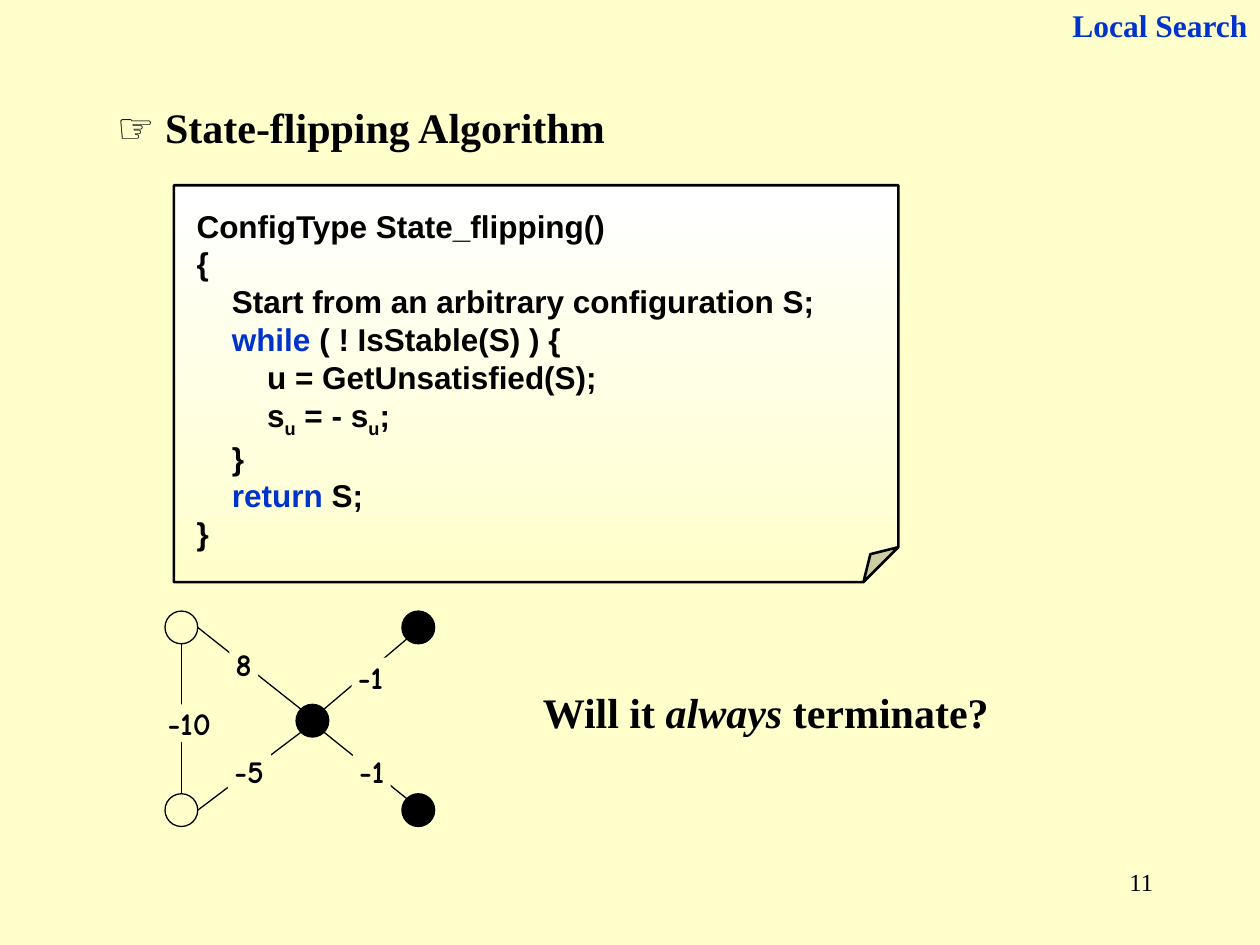
from math import cos, radians, sin

from lxml import etree
from pptx import Presentation
from pptx.dml.color import RGBColor
from pptx.enum import shapes, text
from pptx.oxml import ns
from pptx.util import Inches, Pt

CREAM = RGBColor(0xFF, 0xFF, 0xCC)
WHITE = RGBColor(0xFF, 0xFF, 0xFF)
BLACK = RGBColor(0, 0, 0)
BLUE = RGBColor(0x00, 0x33, 0xCC)
SERIF, SANS, COMIC = "Times New Roman", "Arial", "Comic Neue"
RIGHT = text.PP_ALIGN.RIGHT

# Content: a run is its text and what differs from the paragraph's style
HEADER = [("Local Search", {"color": BLUE})]
TITLE = [("☞", {"font": SANS}), (" State-flipping Algorithm", {})]
QUESTION = [("Will it ", {}), ("always", {"italic": True}), (" terminate?", {})]
NUMBER = [("11", {"bold": False})]

KEYWORD, SUB = {"color": BLUE}, {"baseline": -25000}
CODE = [  # indent level, runs
    (0, [("ConfigType State_flipping()", {})]),
    (0, [("{", {})]),
    (1, [("Start from an arbitrary configuration S;", {})]),
    (1, [("while", KEYWORD), (" ( ! IsStable(S) ) {", {})]),
    (2, [("u = GetUnsatisfied(S);", {})]),
    (2, [("s", {}), ("u", SUB), (" = - s", {}), ("u", SUB), (";", {})]),
    (1, [("}", {})]),
    (1, [("return", KEYWORD), (" S;", {})]),
    (0, [("}", {})]),
]
INDENT = 0.28

RADIUS = 0.13
NODES = {  # centre x, centre y, fill
    "top left": (1.44, 4.98, CREAM),
    "bottom left": (1.44, 6.43, CREAM),
    "middle": (2.48, 5.72, BLACK),
    "top right": (3.32, 4.98, BLACK),
    "bottom right": (3.32, 6.43, BLACK),
}
EDGES = [  # node and angle at each end, weight, label left, top, width
    ("bottom left", 270, "top left", 90, "-10", 1.28, 5.59, 0.44),
    ("middle", 225, "top left", 0, "8", 1.82, 5.12, 0.23),
    ("middle", 135, "bottom left", 0, "-5", 1.81, 5.97, 0.34),
    ("middle", 315, "top right", 135, "-1", 2.79, 5.22, 0.3),
    ("middle", 45, "bottom right", 225, "-1", 2.8, 5.97, 0.3),
]


def add_runs(para, runs, size, font):
    for words, style in runs:
        span = para.add_run()
        span.text = words
        span.font.size = Pt(size)
        span.font.name = style.get("font", font)
        span.font.bold = style.get("bold", True)
        span.font.italic = style.get("italic", False)
        span.font.color.rgb = style.get("color", BLACK)
        if "baseline" in style:
            span.font._element.set("baseline", str(style["baseline"]))


def set_frame(frame, left, top, right, bottom, wrap):
    frame.margin_left, frame.margin_top = Inches(left), Inches(top)
    frame.margin_right, frame.margin_bottom = Inches(right), Inches(bottom)
    frame.word_wrap = wrap
    frame.vertical_anchor = text.MSO_ANCHOR.TOP


def add_text(slide, place, runs, size, align=text.PP_ALIGN.LEFT, before=0):
    box = slide.shapes.add_textbox(*map(Inches, place))
    set_frame(box.text_frame, 0.1, 0.05, 0.1, 0.05, True)
    para = box.text_frame.paragraphs[0]
    para.alignment = align
    para.space_before = Pt(before)
    add_runs(para, runs, size, SERIF)


def add_shape(slide, kind, place, color=None, width=None):
    shape = slide.shapes.add_shape(kind, *map(Inches, place))
    shape.shadow.inherit = False
    if color is not None:
        shape.fill.solid()
        shape.fill.fore_color.rgb = color
    if width:
        shape.line.color.rgb = BLACK
        shape.line.width = Pt(width)
    else:
        shape.line.fill.background()
    return shape


def add_code(slide):
    note = add_shape(slide, shapes.MSO_SHAPE.FOLDED_CORNER,
                     (1.38, 1.47, 5.75, 3.15), width=1.5)
    # Size of the folded corner
    guides = note._element.spPr.find(ns.qn("a:prstGeom")).get_or_add_avLst()
    etree.SubElement(guides, ns.qn("a:gd"), name="adj", fmla="val 8800")
    note.fill.gradient()
    note.fill.gradient_angle = 270
    for stop, color, position in zip(note.fill.gradient_stops, (WHITE, CREAM), (0, 1)):
        stop.color.rgb = color
        stop.position = position
    frame = note.text_frame
    set_frame(frame, 0.18, 0.17, 0.1, 0.05, False)
    for index, (level, runs) in enumerate(CODE):
        para = frame.add_paragraph() if index else frame.paragraphs[0]
        para.alignment = text.PP_ALIGN.LEFT
        para._p.get_or_add_pPr().set("marL", str(Inches(level * INDENT)))
        add_runs(para, runs, 18, SANS)


def rim_point(node, angle):
    x, y, _ = NODES[node]
    return (Inches(x + RADIUS * cos(radians(angle))),
            Inches(y + RADIUS * sin(radians(angle))))


def add_graph(slide):
    # Edges
    for start, start_angle, end, end_angle, *_ in EDGES:
        line = slide.shapes.add_connector(
            shapes.MSO_CONNECTOR.STRAIGHT,
            *rim_point(start, start_angle), *rim_point(end, end_angle))
        line.line.color.rgb = BLACK
        line.line.width = Pt(0.75)
        etree.SubElement(line._element.spPr, ns.qn("a:effectLst"))
    # Weights
    for *_, weight, left, top, width in EDGES:
        label = add_shape(slide, shapes.MSO_SHAPE.RECTANGLE,
                          (left, top, width, 0.3), CREAM)
        set_frame(label.text_frame, 0.05, 0, 0.05, 0, False)
        para = label.text_frame.paragraphs[0]
        para.alignment = text.PP_ALIGN.LEFT
        add_runs(para, [(weight, {})], 18, COMIC)
    # Nodes
    for x, y, color in NODES.values():
        add_shape(slide, shapes.MSO_SHAPE.OVAL,
                  (x - RADIUS, y - RADIUS, 2 * RADIUS, 2 * RADIUS), color, 0.75)


def main():
    deck = Presentation()
    deck.slide_width, deck.slide_height = Inches(10), Inches(7.5)
    page = deck.slides.add_slide(deck.slide_layouts[6])
    page.background.fill.solid()
    page.background.fill.fore_color.rgb = CREAM

    add_text(page, (7.84, 0, 2.16, 0.4), HEADER, 18, RIGHT, 11.2)
    add_text(page, (0.83, 0.76, 5.28, 0.5), TITLE, 24)
    add_code(page)
    add_graph(page)
    add_text(page, (4.21, 5.4, 4.17, 0.5), QUESTION, 24, before=6)
    add_text(page, (7.17, 6.83, 2.08, 0.5), NUMBER, 14, RIGHT)
    deck.save("out.pptx")


if __name__ == "__main__":
    main()
